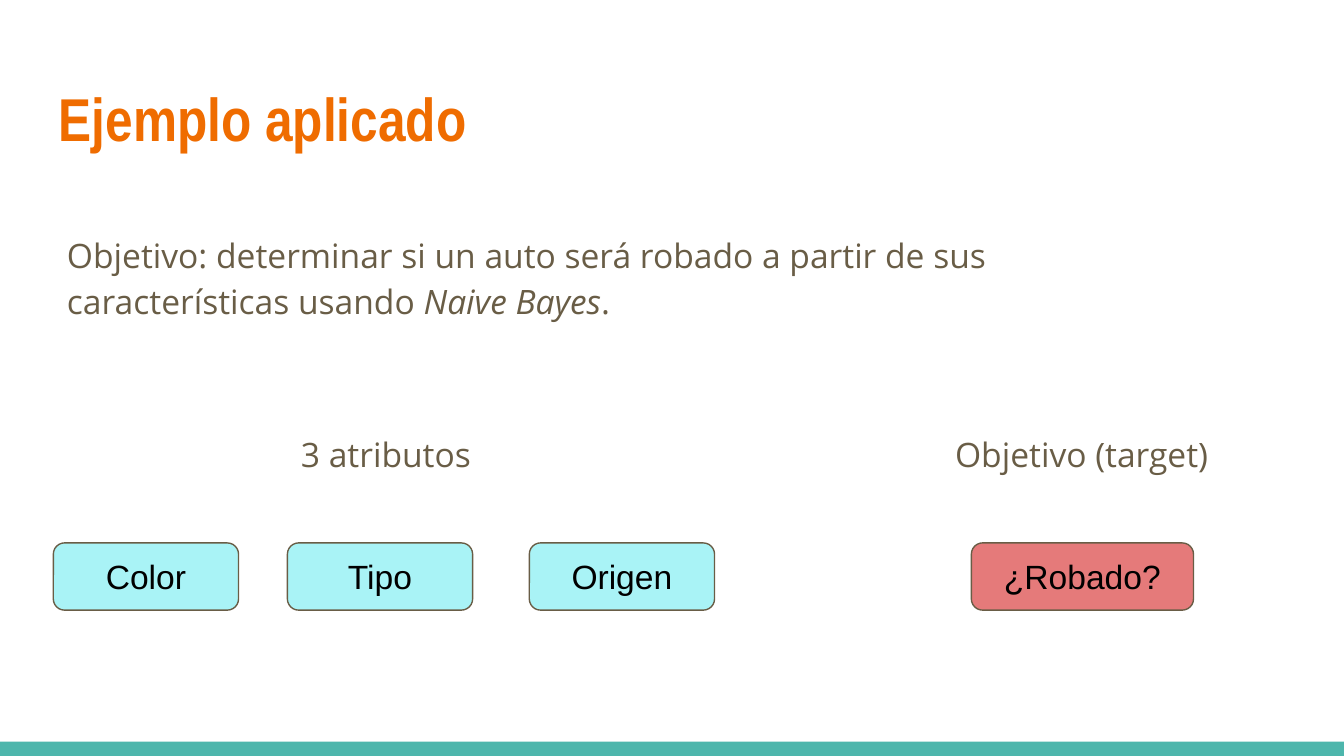
from pptx import Presentation
from pptx import util as u
from pptx.dml.color import RGBColor
from pptx.enum import shapes, text

Pt = u.Pt

WHITE = RGBColor(0xFF, 0xFF, 0xFF)
BLACK = RGBColor(0x00, 0x00, 0x00)
TEAL = RGBColor(0x4D, 0xB6, 0xAC)
ORANGE = RGBColor(0xEF, 0x6C, 0x00)
BROWN = RGBColor(0x69, 0x5D, 0x46)
CYAN = RGBColor(0xA9, 0xF3, 0xF6)
RED = RGBColor(0xE5, 0x7A, 0x7A)

INSET = Pt(7.2)
LABEL_TOP = 221.8
BOX_TOP = 290.9
ROW_HEIGHT = 36


def set_frame(text_frame, anchor):
    text_frame.word_wrap = True
    text_frame.vertical_anchor = anchor
    text_frame.margin_left = text_frame.margin_right = INSET
    text_frame.margin_top = text_frame.margin_bottom = INSET


def add_run(paragraph, content, font_name, size, color, bold=False, italic=False):
    run = paragraph.add_run()
    run.text = content
    run.font.name = font_name
    run.font.size = Pt(size)
    run.font.color.rgb = color
    run.font.bold = bold
    run.font.italic = italic


def add_text_box(slide, left, top, width, height, anchor=text.MSO_ANCHOR.TOP):
    box = slide.shapes.add_textbox(Pt(left), Pt(top), Pt(width), Pt(height))
    set_frame(box.text_frame, anchor)
    return box.text_frame.paragraphs[0]


def add_body(slide, left, top, width, height, pieces):
    """Add body text from (content, italic) pieces."""
    paragraph = add_text_box(slide, left, top, width, height)
    paragraph.line_spacing = 1.15
    paragraph.space_after = Pt(12)
    for content, italic in pieces:
        add_run(paragraph, content, "Open Sans", 18, BROWN, italic=italic)


def add_shape(slide, kind, left, top, width, height, fill):
    shape = slide.shapes.add_shape(kind, Pt(left), Pt(top), Pt(width), Pt(height))
    shape.shadow.inherit = False
    shape.fill.solid()
    shape.fill.fore_color.rgb = fill
    return shape


def add_variable(slide, left, width, label, fill):
    shape = add_shape(slide, shapes.MSO_SHAPE.FLOWCHART_ALTERNATE_PROCESS,
                      left, BOX_TOP, width, ROW_HEIGHT, fill)
    shape.line.color.rgb = BROWN
    shape.line.width = Pt(0.75)
    set_frame(shape.text_frame, text.MSO_ANCHOR.MIDDLE)
    paragraph = shape.text_frame.paragraphs[0]
    paragraph.alignment = text.PP_ALIGN.CENTER
    add_run(paragraph, label, "Arial", 18, BLACK)


def main():
    presentation = Presentation()
    presentation.slide_width = Pt(720)
    presentation.slide_height = Pt(405)
    slide = presentation.slides.add_slide(presentation.slide_layouts[6])
    slide.background.fill.solid()
    slide.background.fill.fore_color.rgb = WHITE

    # Bottom band
    band = add_shape(slide, shapes.MSO_SHAPE.RECTANGLE, 0, 397.4, 720, 7.6, TEAL)
    band.line.fill.background()

    # Title
    title = add_text_box(slide, 24.5, 35.3, 671, 55.4, text.MSO_ANCHOR.MIDDLE)
    add_run(title, "Ejemplo aplicado", "Arial Narrow", 32.4, ORANGE, bold=True)

    # Goal
    add_body(slide, 28.8, 115.2, 610.6, 72, [
        ("Objetivo: determinar si un auto será robado a partir de sus "
         "características usando ", False),
        ("Naive Bayes", True),
        (".", False),
    ])

    # Attributes
    add_body(slide, 154.1, LABEL_TOP, 109.4, ROW_HEIGHT, [("3 atributos", False)])
    for left, label in ((28.6, "Color"), (154, "Tipo"), (283.6, "Origen")):
        add_variable(slide, left, 99.2, label, CYAN)

    # Target
    add_body(slide, 504.6, LABEL_TOP, 154.1, ROW_HEIGHT, [("Objetivo (target)", False)])
    add_variable(slide, 520.4, 119, "¿Robado?", RED)

    presentation.save("out.pptx")


if __name__ == "__main__":
    main()
